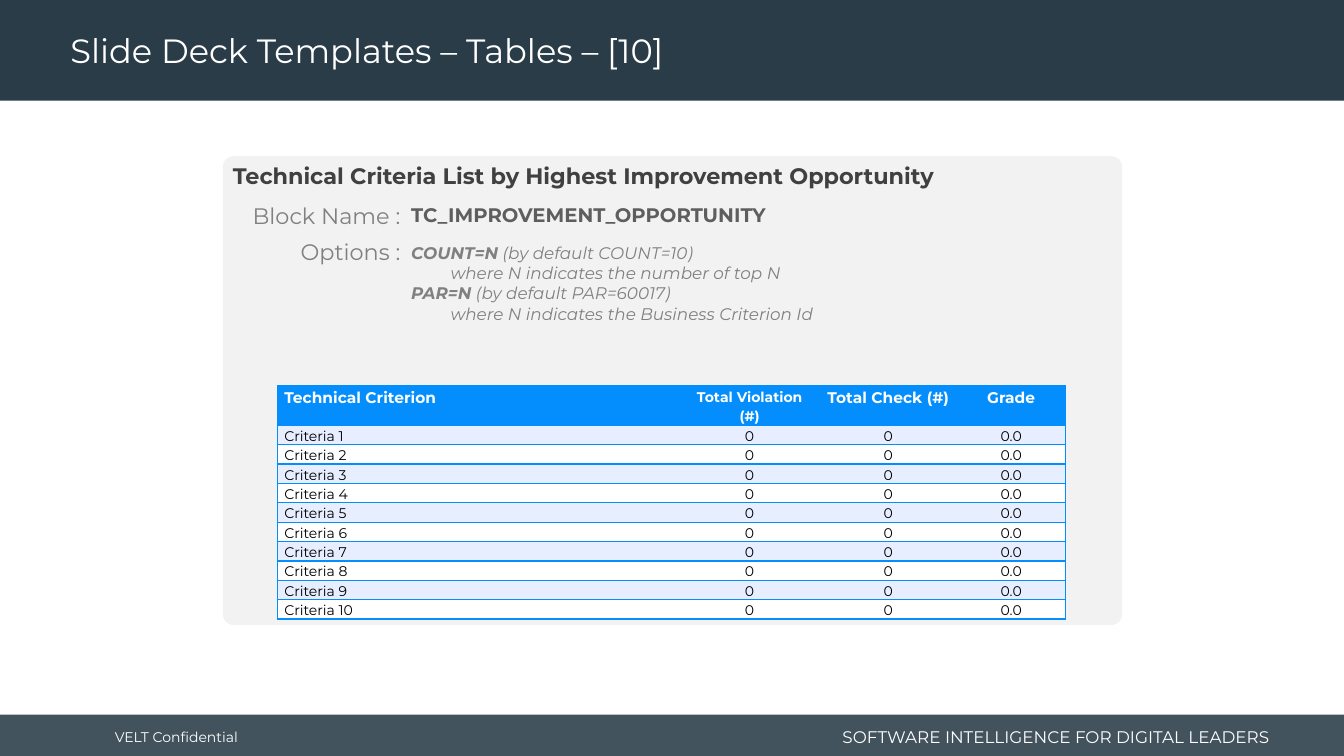
import pptx
import pptx.dml.color
import pptx.enum.shapes
import pptx.enum.text
import pptx.oxml.ns
import pptx.util
from lxml import etree

EMU_PER_PX = 9144
FONT = "Montserrat"
NAVY, BLUE, PALE, PANEL = "293C47", "048EFD", "E7EEFF", "F2F2F2"
WHITE, BLACK, DARK, MID, GREY = "FFFFFF", "000000", "404040", "5E5E5E", "808080"
LEFT = pptx.enum.text.PP_ALIGN.LEFT
CENTER = pptx.enum.text.PP_ALIGN.CENTER
RIGHT = pptx.enum.text.PP_ALIGN.RIGHT


def px(length):
    """Turn whole px, a hundred to the inch, into EMU."""
    return pptx.util.Emu(length * EMU_PER_PX)


def rgb(value):
    """Turn a hex string into a colour."""
    return pptx.dml.color.RGBColor.from_string(value)


def add_xml(parent, tag, **attributes):
    """Append a drawing element with its attributes and return it."""
    element = etree.SubElement(parent, pptx.oxml.ns.qn(tag))
    for name, value in attributes.items():
        element.set(name, str(value))
    return element


def add_run(paragraph, text, size, color, bold=False, italic=False):
    """Add one formatted run to a paragraph."""
    run = paragraph.add_run()
    run.text = text
    run.font.name = FONT
    run.font.size = pptx.util.Pt(size)
    run.font.color.rgb = rgb(color)
    run.font.bold = bold
    run.font.italic = italic


def add_panel(slide, box, color, corner=None, opacity=None):
    """Add a plain filled rectangle, rounded when a corner is given."""
    kinds = pptx.enum.shapes.MSO_SHAPE
    kind = kinds.RECTANGLE if corner is None else kinds.ROUNDED_RECTANGLE
    shape = slide.shapes.add_shape(kind, *map(px, box))
    shape.shadow.inherit = False
    shape.fill.solid()
    shape.fill.fore_color.rgb = rgb(color)
    shape.line.fill.background()
    if corner is not None:
        shape.adjustments[0] = corner
    if opacity is not None:
        color_element = shape.fill._xPr.find(".//" + pptx.oxml.ns.qn("a:srgbClr"))
        add_xml(color_element, "a:alpha", val=opacity * 1000)


def add_text_box(slide, box, wrap=True, middle=False, inset=10):
    """Add an empty text box and return its text frame."""
    frame = slide.shapes.add_textbox(*map(px, box)).text_frame
    frame.word_wrap = wrap
    frame.margin_left = frame.margin_right = px(inset)
    if middle:
        frame.vertical_anchor = pptx.enum.text.MSO_ANCHOR.MIDDLE
    else:
        frame.auto_size = pptx.enum.text.MSO_AUTO_SIZE.SHAPE_TO_FIT_TEXT
    return frame


def add_label(slide, box, text, size, color, bold=False, align=LEFT, **layout):
    """Add a text box of one line and return its paragraph."""
    paragraph = add_text_box(slide, box, **layout).paragraphs[0]
    paragraph.alignment = align
    add_run(paragraph, text, size, color, bold)
    return paragraph


def add_options(slide, box, options):
    """Add each option with its default and an indented explanation."""
    frame = add_text_box(slide, box)
    for index, (option, default, meaning) in enumerate(options):
        paragraph = frame.add_paragraph() if index else frame.paragraphs[0]
        add_run(paragraph, option, 12, GREY, bold=True, italic=True)
        add_run(paragraph, f" {default}", 12, GREY, italic=True)
        paragraph = frame.add_paragraph()
        paragraph._p.get_or_add_pPr().set("marL", str(px(39)))
        add_run(paragraph, meaning, 12, GREY, italic=True)


def set_borders(cell, sides):
    """Draw blue borders on the given sides and clear the others."""
    properties = cell._tc.get_or_add_tcPr()
    for side in "LRTB":
        line = add_xml(properties, f"a:ln{side}", w=pptx.util.Pt(1))
        if side in sides:
            add_xml(add_xml(line, "a:solidFill"), "a:srgbClr", val=BLUE)
        else:
            add_xml(line, "a:noFill")


def fill_cell(cell, text, size, color, background, align, bold, sides):
    """Format one table cell and write its text."""
    set_borders(cell, sides)
    cell.fill.solid()
    cell.fill.fore_color.rgb = rgb(background)
    cell.margin_left = cell.margin_right = px(7)
    cell.margin_top = cell.margin_bottom = 0
    paragraph = cell.text_frame.paragraphs[0]
    paragraph.alignment = align
    paragraph.line_spacing = 1.15
    add_run(paragraph, text, size, color, bold)


def add_criteria_table(slide, left, top, widths, header, rows):
    """Add the criteria table with a blue header and banded rows."""
    heights = [39] + [19] * len(rows)
    box = (left, top, sum(widths), sum(heights))
    table = slide.shapes.add_table(len(heights), len(widths), *map(px, box)).table
    table.first_row = table.horz_banding = False
    for column, width in zip(table.columns, widths):
        column.width = px(width)
    for row, height in zip(table.rows, heights):
        row.height = px(height)
    last = len(widths) - 1
    for r, values in enumerate([header] + rows):
        background = BLUE if r == 0 else PALE if r % 2 else WHITE
        for c, text in enumerate(values):
            sides = "TB" + ("L" if c == 0 else "R" if c == last else "")
            size = 11 if r == 0 and c != 1 else 10
            fill_cell(table.cell(r, c), text, size, BLACK if r else WHITE,
                      background, CENTER if c else LEFT, r == 0, sides)


def main():
    """Build the slide and save it."""
    presentation = pptx.Presentation()
    presentation.slide_width, presentation.slide_height = px(1333), px(750)
    slide = presentation.slides.add_slide(presentation.slide_layouts[6])

    add_panel(slide, (0, 709, 1333, 41), NAVY, opacity=88)
    add_panel(slide, (0, 0, 1333, 100), NAVY)
    add_label(slide, (104, 711, 148, 40), "VELT Confidential", 10, WHITE,
              wrap=False, middle=True)
    add_label(slide, (811, 715, 458, 32), "SOFTWARE INTELLIGENCE FOR DIGITAL LEADERS",
              12, WHITE, align=RIGHT, middle=True)
    title = add_label(slide, (60, 4, 958, 96), "Slide Deck Templates – Tables – [10]",
                      24, WHITE, middle=True)
    title.line_spacing = 0.9

    add_panel(slide, (221, 155, 892, 465), PANEL, corner=0.023)
    add_label(slide, (211, 156, 891, 37),
              "Technical Criteria List by Highest Improvement Opportunity",
              16, DARK, bold=True, inset=20)
    add_label(slide, (398, 196, 725, 34), "TC_IMPROVEMENT_OPPORTUNITY", 14, MID, bold=True)
    add_label(slide, (240, 196, 167, 37), "Block Name :", 16, GREY, align=RIGHT, wrap=False)
    add_label(slide, (286, 231, 121, 37), "Options :", 16, GREY, align=RIGHT, wrap=False)
    add_options(slide, (398, 236, 725, 91), [
        ("COUNT=N", "(by default COUNT=10)", "where N indicates the number of top N"),
        ("PAR=N", "(by default PAR=60017)", "where N indicates the Business Criterion Id"),
    ])
    add_criteria_table(
        slide, 275, 383, [399, 139, 136, 108],
        ["Technical Criterion", "Total Violation (#)", "Total Check (#)", "Grade"],
        [[f"Criteria {number}", "0", "0", "0.0"] for number in range(1, 11)])

    presentation.save("out.pptx")


if __name__ == "__main__":
    main()
